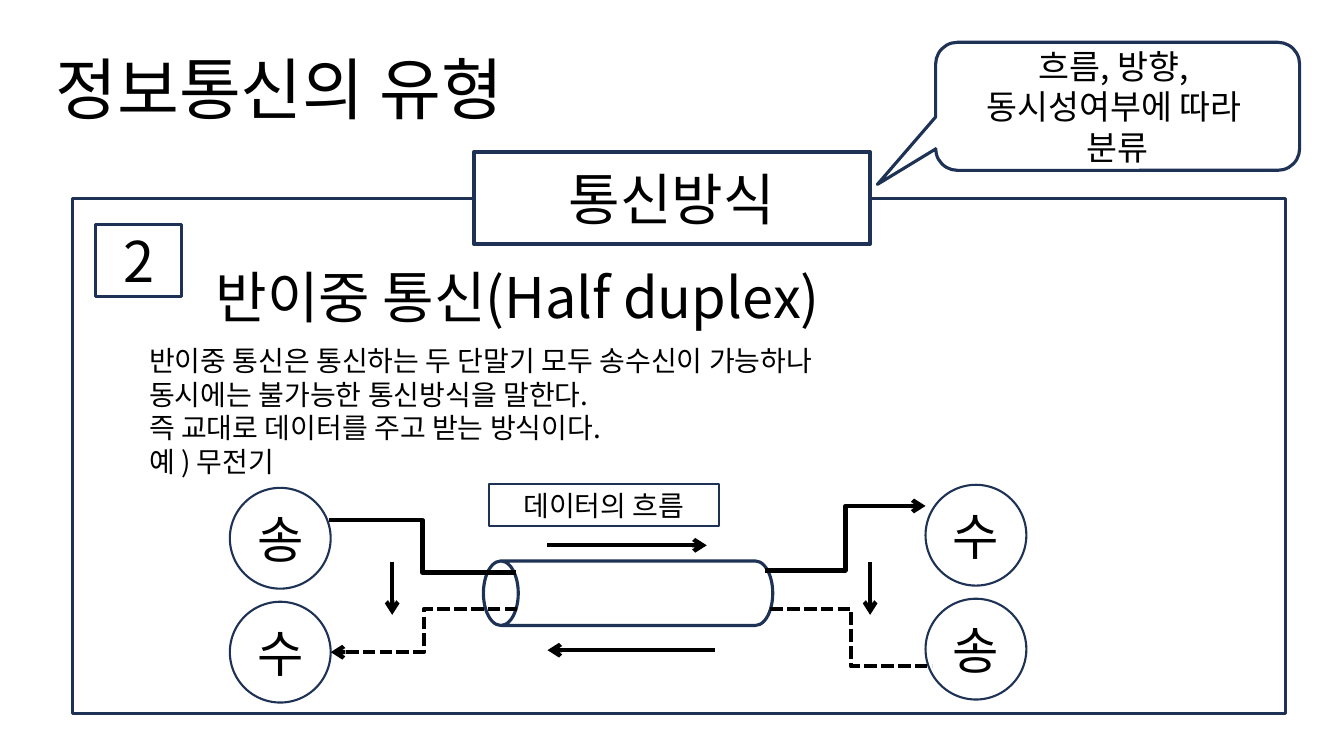
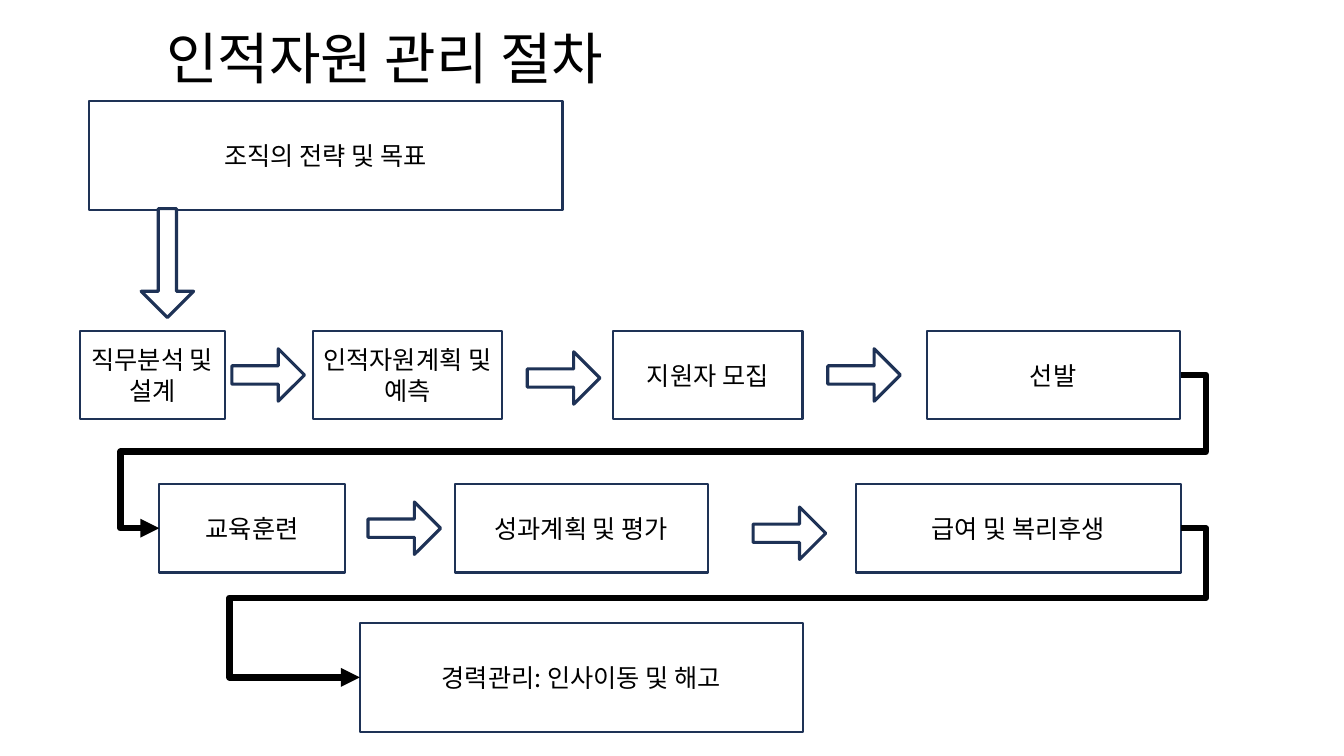
"""Build two slides: half duplex communication and the personnel management process."""
from lxml import etree
from pptx import Presentation
from pptx.dml.color import RGBColor
from pptx.enum.dml import MSO_LINE
from pptx.enum.shapes import MSO_CONNECTOR, MSO_SHAPE
from pptx.enum.text import MSO_ANCHOR, MSO_AUTO_SIZE, PP_ALIGN
from pptx.oxml.ns import qn
from pptx.util import Inches, Pt

RECTANGLE = MSO_SHAPE.RECTANGLE
OVAL = MSO_SHAPE.OVAL
CAN = MSO_SHAPE.CAN
DOWN_ARROW = MSO_SHAPE.DOWN_ARROW
CALLOUT = MSO_SHAPE.ROUNDED_RECTANGULAR_CALLOUT
STRAIGHT, ELBOW = MSO_CONNECTOR.STRAIGHT, MSO_CONNECTOR.ELBOW
DASHED = MSO_LINE.SQUARE_DOT
LEFT, CENTER = PP_ALIGN.LEFT, PP_ALIGN.CENTER
TOP, MIDDLE = MSO_ANCHOR.TOP, MSO_ANCHOR.MIDDLE

FONT = "Noto Sans CJK KR"
NAVY, BLACK, WHITE = "1E3256", "000000", "FFFFFF"
TITLE_ONLY = 5

DUPLEX_TITLE = ("정보통신의 유형", (0.45, 0.42, 5.3, 0.91), 48)
FRAME = (0.72, 1.97, 12.03, 5.11)
METHOD = ("통신방식", (4.7, 1.51, 3.93, 0.91))
CALLOUT_LINES = ["흐름, 방향, ", "동시성여부에 따라 ", "분류"]
CALLOUT_PLACE = (9.28, 0.42, 3.61, 1.27)
CALLOUT_TAIL = (-0.66, 0.61, 0.17)
NUMBER = ("2", (0.95, 2.23, 0.85, 0.71))
HEADING = ("반이중 통신(Half duplex)", (2.04, 2.56, 7.98, 0.77))
EXPLANATION = [
    "반이중 통신은 통신하는 두 단말기 모두 송수신이 가능하나 ",
    "동시에는 불가능한 통신방식을 말한다.",
    "즉 교대로 데이터를 주고 받는 방식이다. ",
    "예 ) 무전기",
]
EXPLANATION_PLACE = (1.38, 3.36, 10.26, 1.45)
STATIONS = [(2.28, 4.84, ["송", "수"]), (9.18, 4.81, ["수", "송"])]
STATION_SIZE, STATION_STEP = 1, 1.13
FLOW_LABEL = ("데이터의 흐름", (4.85, 4.8, 2.28, 0.42))
CHANNEL = (5.91, 4.45, 0.64, 2.87)
FLOW_ARROWS = [
    ((5.43, 5.41), (7.01, 5.41)),
    ((7.09, 6.45), (5.43, 6.45)),
    ((8.63, 5.58), (8.63, 6.1)),
    ((3.89, 5.58), (3.89, 6.1)),
]
WIRES = [
    ((3.26, 5.16), (5.12, 5.68), None, None),
    ((7.59, 5.66), (9.18, 5.02), "arrow", None),
    ((7.64, 6.04), (9.24, 6.61), None, DASHED),
    ((5.13, 6.04), (3.28, 6.47), "arrow", DASHED),
]

PROCESS_TITLE = ("인적자원 관리 절차", (1.55, 0.18, 5.25, 0.77), 40)
STEP_ROWS = [
    (1, 1.08, [("조직의 전략 및 목표", 0.88, 4.7)]),
    (3.28, 0.88, [
        ("직무분석 및 설계", 0.79, 1.44),
        ("인적자원계획 및 예측", 3.1, 1.88),
        ("지원자 모집", 6.08, 1.88),
        ("선발", 9.19, 2.51),
    ]),
    (4.8, 0.88, [
        ("교육훈련", 1.58, 1.84),
        ("성과계획 및 평가", 4.51, 2.51),
        ("급여 및 복리후생", 8.49, 3.22),
    ]),
    (6.18, 1.08, [("경력관리: 인사이동 및 해고", 3.57, 4.39)]),
]
FIRST_ARROW = (1.4, 2.07, 0.52, 1.08)
NEXT_ARROWS = [(2.4, 3.36), (5.33, 3.39), (8.31, 3.36), (3.75, 4.88), (7.57, 4.93)]
NEXT_ARROW_SIZE = (0.52, 0.72)
ARROW_SHAFT = (0.35, 0.5)
RETURNS = [
    ((11.71, 3.72), (1.58, 5.24), (-2500, 50000, 103800)),
    ((11.71, 5.24), (3.57, 6.72), (-3100, 46700, 115900)),
]


def color(value):
    """Turn a hex string into a colour."""
    return RGBColor.from_string(value)


def write(box, lines, size, align=CENTER, anchor=MIDDLE):
    """Fill a shape with formatted paragraphs."""
    frame = box.text_frame
    settings = {"word_wrap": True, "auto_size": MSO_AUTO_SIZE.NONE, "vertical_anchor": anchor}
    for name, value in settings.items():
        setattr(frame, name, value)
    for index, line in enumerate(lines):
        para = frame.add_paragraph() if index else frame.paragraphs[0]
        para.alignment = align
        span = para.add_run()
        span.text = line
        for name, value in {"name": FONT, "size": Pt(size)}.items():
            setattr(span.font, name, value)
        span.font.color.rgb = color(BLACK)
        east_asian = etree.SubElement(span.font._element, qn("a:ea"))
        east_asian.set("typeface", FONT)


def add_page(deck, title, place, size):
    """Add a slide with its title."""
    page = deck.slides.add_slide(deck.slide_layouts[TITLE_ONLY])
    box = page.shapes.title
    for name, value in zip(("left", "top", "width", "height"), place):
        setattr(box, name, Inches(value))
    write(box, [title], size, LEFT, TOP)
    return page


def add_note(page, lines, place, size):
    """Add a left-aligned text box."""
    box = page.shapes.add_textbox(*map(Inches, place))
    write(box, lines, size, LEFT, TOP)


def add_box(page, kind, place, weight, lines=(), size=18, fill=WHITE, adjust=(), turn=0):
    """Add an outlined shape with optional text."""
    box = page.shapes.add_shape(kind, *map(Inches, place))
    box.shadow.inherit = False
    box.rotation = turn
    if fill:
        box.fill.solid()
        box.fill.fore_color.rgb = color(fill)
    else:
        box.fill.background()
    box.line.color.rgb = color(NAVY)
    box.line.width = Pt(weight)
    for index, value in enumerate(adjust):
        box.adjustments[index] = value
    write(box, lines, size)


def add_line(page, kind, start, end, weight, head=None, dash=None, bends=()):
    """Add a connector, with five segments when bends are given."""
    line = page.shapes.add_connector(kind, *map(Inches, start + end))
    line.line.color.rgb = color(BLACK)
    line.line.width = Pt(weight)
    if dash:
        line.line.dash_style = dash
    properties = line.element.spPr
    if head:
        etree.SubElement(properties.find(qn("a:ln")), qn("a:tailEnd")).set("type", head)
    etree.SubElement(properties, qn("a:effectLst"))
    if bends:
        geometry = properties.find(qn("a:prstGeom"))
        geometry.set("prst", "bentConnector5")
        guides = geometry.find(qn("a:avLst"))
        if guides is None:
            guides = etree.SubElement(geometry, qn("a:avLst"))
        for index, value in enumerate(bends, 1):
            guide = etree.SubElement(guides, qn("a:gd"))
            guide.set("name", f"adj{index}")
            guide.set("fmla", f"val {value}")


def build_duplex(deck):
    """Build the half duplex slide."""
    page = add_page(deck, *DUPLEX_TITLE)
    add_box(page, RECTANGLE, FRAME, 2.25, fill=None)
    add_box(page, RECTANGLE, METHOD[1], 3, [METHOD[0]], 40)
    add_box(page, CALLOUT, CALLOUT_PLACE, 2.25, CALLOUT_LINES, 24, None, CALLOUT_TAIL)
    add_box(page, RECTANGLE, NUMBER[1], 2.25, [NUMBER[0]], 40)
    add_note(page, [HEADING[0]], HEADING[1], 40)
    add_note(page, EXPLANATION, EXPLANATION_PLACE, 20)
    for left, top, roles in STATIONS:
        for index, role in enumerate(roles):
            place = (left, top + index * STATION_STEP, STATION_SIZE, STATION_SIZE)
            add_box(page, OVAL, place, 1.5, [role], 36)
    add_box(page, RECTANGLE, FLOW_LABEL[1], 1, [FLOW_LABEL[0]], 20)
    add_box(page, CAN, CHANNEL, 2.25, adjust=(0.54,), turn=270)
    for start, end in FLOW_ARROWS:
        add_line(page, STRAIGHT, start, end, 3, "arrow")
    for start, end, head, dash in WIRES:
        add_line(page, ELBOW, start, end, 3, head, dash)


def build_process(deck):
    """Build the personnel management slide."""
    page = add_page(deck, *PROCESS_TITLE)
    for top, height, steps in STEP_ROWS:
        for label, left, width in steps:
            add_box(page, RECTANGLE, (left, top, width, height), 1.5, [label])
    add_box(page, DOWN_ARROW, FIRST_ARROW, 2.25, adjust=ARROW_SHAFT)
    for corner in NEXT_ARROWS:
        add_box(page, DOWN_ARROW, corner + NEXT_ARROW_SIZE, 2.25, adjust=ARROW_SHAFT, turn=270)
    for start, end, bends in RETURNS:
        add_line(page, ELBOW, start, end, 4.5, "triangle", bends=bends)


deck = Presentation()
deck.slide_width, deck.slide_height = Inches(13.33), Inches(7.5)
build_duplex(deck)
build_process(deck)
deck.save("out.pptx")
